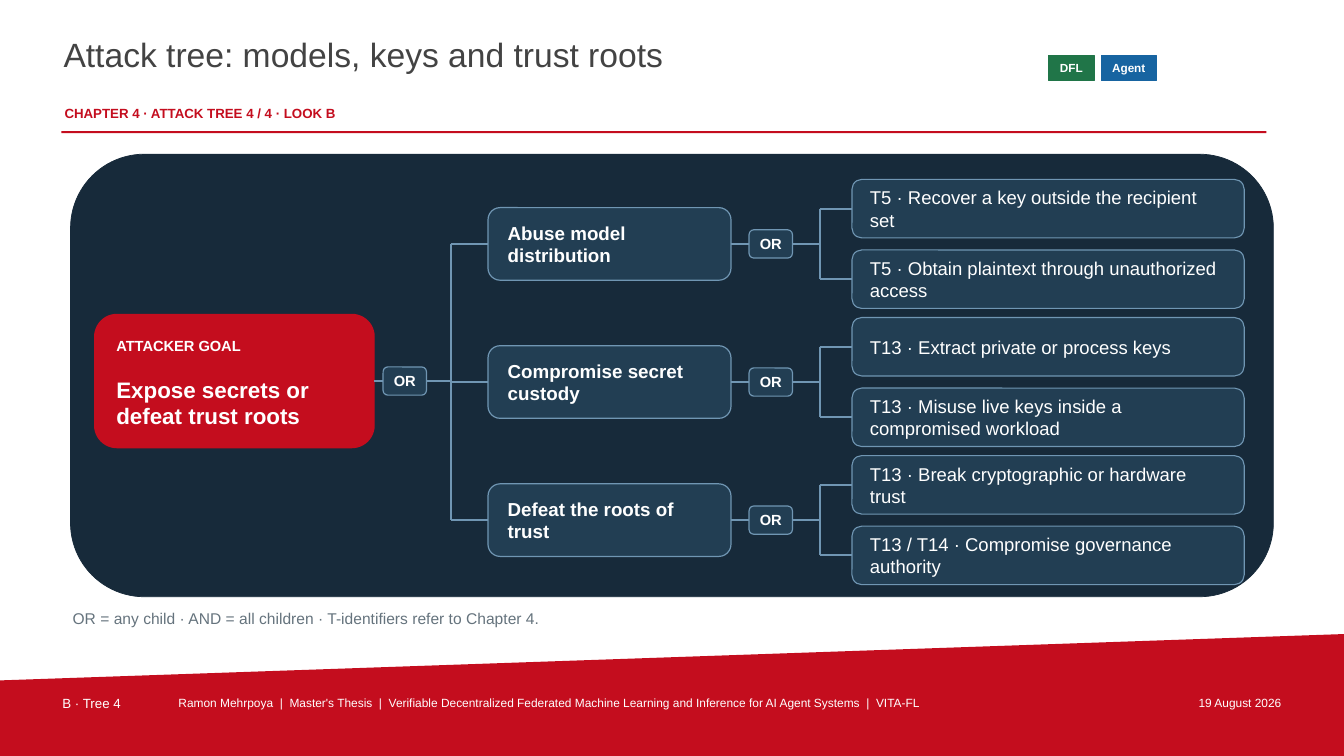
from pptx import Presentation
from pptx import util as u
from pptx.dml.color import RGBColor
from pptx.enum import shapes, text
from pptx.oxml.ns import qn
from lxml import etree

# The slide is a grid of 133.3 columns by 75 rows, each a tenth of an inch.
COLUMNS, ROWS = 133.3, 75
RED, NAVY, STEEL, SKY, WHITE = "C40D1E", "172A3A", "223E53", "7096B3", "FFFFFF"
RECT, ROUND = shapes.MSO_SHAPE.RECTANGLE, shapes.MSO_SHAPE.ROUNDED_RECTANGLE
MIDDLE, TOP = text.MSO_ANCHOR.MIDDLE, text.MSO_ANCHOR.TOP
LEFT, CENTER, RIGHT = text.PP_ALIGN.LEFT, text.PP_ALIGN.CENTER, text.PP_ALIGN.RIGHT
LEFT_SIDE, RIGHT_SIDE = 1, 3

GOAL_ROW, BRANCH_ROW, BRANCH_STEP = 37.8, 24.2, 13.7
LEAF_OFFSET = 3.5
GOAL_TRUNK, LEAF_TRUNK = 44.7, 81.3
TREE = [
    ("Abuse model distribution",
     ["T5 · Recover a key outside the recipient set",
      "T5 · Obtain plaintext through unauthorized access"]),
    ("Compromise secret custody",
     ["T13 · Extract private or process keys",
      "T13 · Misuse live keys inside a compromised workload"]),
    ("Defeat the roots of trust",
     ["T13 · Break cryptographic or hardware trust",
      "T13 / T14 · Compromise governance authority"]),
]
BADGES = [(104, 4.5, "DFL", "207548"), (109.2, 5.5, "Agent", "1764A1")]
THESIS = ("Ramon Mehrpoya  |  Master's Thesis  |  Verifiable Decentralized Federated "
          "Machine Learning and Inference for AI Agent Systems  |  VITA-FL")


def cells(count):
    return u.Inches(count / 10)


def color(hex_value):
    return RGBColor.from_string(hex_value)


def write(shape, words, size=13.2, ink=WHITE, bold=False, align=LEFT, anchor=MIDDLE,
          inset=(0, 0), before=None):
    """Write one paragraph; a paragraph with space before follows the earlier ones."""
    frame = shape.text_frame
    frame.word_wrap = True
    frame.vertical_anchor = anchor
    frame.margin_left = frame.margin_right = cells(inset[0])
    frame.margin_top = frame.margin_bottom = cells(inset[1])
    paragraph = frame.paragraphs[0] if before is None else frame.add_paragraph()
    if before is not None:
        paragraph.space_before = u.Pt(before)
    paragraph.alignment = align
    run = paragraph.add_run()
    run.text = words
    font = run.font
    font.name, font.size, font.bold = "Arial", u.Pt(size), bold
    font.color.rgb = color(ink)


def paint(shape, fill, line=None, weight=0.85):
    shape.shadow.inherit = False
    shape.fill.solid()
    shape.fill.fore_color.rgb = color(fill)
    if line is None:
        shape.line.fill.background()
    else:
        shape.line.color.rgb = color(line)
        shape.line.width = u.Pt(weight)


def add_box(slide, left, top, width, height, fill, kind=ROUND, **outline):
    box = slide.shapes.add_shape(kind, *map(cells, (left, top, width, height)))
    paint(box, fill, **outline)
    return box


def add_node(slide, left, middle, width, height, **outline):
    """Add an outlined box centred on a row."""
    return add_box(slide, left, middle - height / 2, width, height, STEEL, line=SKY, **outline)


def add_label(slide, left, top, width, height, words, **style):
    label = slide.shapes.add_textbox(*map(cells, (left, top, width, height)))
    write(label, words, **style)


def add_wire(slide, start, end, weight=1.3, source=None, target=None):
    """Draw a wire, from the right side of source or to the left side of target."""
    wire = slide.shapes.add_connector(shapes.MSO_CONNECTOR.STRAIGHT,
                                      *map(cells, (*start, *end)))
    wire.line.color.rgb = color(SKY)
    wire.line.width = u.Pt(weight)
    etree.SubElement(wire.element.spPr, qn("a:effectLst"))
    if source is not None:
        wire.begin_connect(source, RIGHT_SIDE)
    if target is not None:
        wire.end_connect(target, LEFT_SIDE)


def add_fork(slide, parent, parent_row, parent_end, trunk, children, child_start, gate,
             weight=1.3):
    """Join a parent to its (row, box) children through a trunk and an OR gate."""
    add_wire(slide, (parent_end, parent_row), (trunk, parent_row), weight, source=parent)
    add_wire(slide, (trunk, children[0][0]), (trunk, children[-1][0]))
    for child_row, child in children:
        add_wire(slide, (trunk, child_row), (child_start, child_row), target=child)
    write(add_node(slide, gate, parent_row, 4.3, 2.8), "OR",
          size=10.5, bold=True, align=CENTER)


def add_branch(slide, row, name, leaves):
    """Add a branch with its leaves and return its (row, box)."""
    branch = add_node(slide, 48.4, row, 24.1, 7.2)
    write(branch, name, size=13.4, bold=True, inset=(1.6, 0))
    children = []
    for index, words in enumerate(leaves):
        leaf_row = row + (2 * index - 1) * LEAF_OFFSET
        leaf = add_node(slide, 84.5, leaf_row, 38.9, 5.8, weight=0.8)
        write(leaf, words, inset=(1.5, 0))
        children.append((leaf_row, leaf))
    add_fork(slide, branch, row, 72.5, LEAF_TRUNK, children, 84.5, 74.3)
    return row, branch


def add_tree(slide):
    add_box(slide, 7, 15.3, 119.3, 43.9, NAVY, line=NAVY, weight=0.5)
    goal = add_box(slide, 9.4, GOAL_ROW - 6.6, 27.7, 13.2, RED, line=RED, weight=1)
    goal_style = dict(bold=True, anchor=TOP, inset=(1.5, 1.6))
    write(goal, "ATTACKER GOAL", size=10.5, **goal_style)
    write(goal, "Expose secrets or defeat trust roots", size=16, before=15, **goal_style)
    branches = [add_branch(slide, BRANCH_ROW + index * BRANCH_STEP, name, leaves)
                for index, (name, leaves) in enumerate(TREE)]
    add_fork(slide, goal, GOAL_ROW, 37.1, GOAL_TRUNK, branches, 48.4, 38, weight=1.5)
    add_label(slide, 7.2, 60, 119, 2.7, size=11.1, ink="65737D",
              words="OR = any child · AND = all children · T-identifiers refer to Chapter 4.")


def add_header(slide):
    title = slide.shapes.title
    title.left, title.top, title.width, title.height = map(cells, (6.1, 3.2, 96.5, 6.2))
    write(title, "Attack tree: models, keys and trust roots", size=24, ink="434343",
          anchor=TOP, inset=(0.2, 0.2))
    add_label(slide, 6.2, 10.2, 97, 2.2, "CHAPTER 4 · ATTACK TREE 4 / 4 · LOOK B",
              size=9.5, ink=RED, bold=True, anchor=TOP, inset=(0.2, 0.2))
    add_box(slide, 6.1, 13, 119.5, 0.2, RED, kind=RECT)
    for left, width, name, fill in BADGES:
        badge = add_box(slide, left, 5.5, width, 2.5, fill, kind=RECT, line=fill, weight=0.55)
        write(badge, name, size=8.4, bold=True, align=CENTER)


def add_footer(slide):
    outline = slide.shapes.build_freeform(0, cells(67.5))
    outline.add_line_segments([(cells(column), cells(row)) for column, row in
                               ((COLUMNS, 62.9), (COLUMNS, ROWS), (0, ROWS))])
    paint(outline.convert_to_shape(), RED)
    for left, width, words, size, align in (
            (6, 11, "B · Tree 4", 9.5, LEFT),
            (17.5, 93.5, THESIS, 8.5, LEFT),
            (112, 15.3, "19 August 2026", 8.5, RIGHT)):
        add_label(slide, left, 68.8, width, 2.2, words, size=size, align=align,
                  anchor=TOP, inset=(0.2, 0.2))


def main():
    presentation = Presentation()
    presentation.slide_width, presentation.slide_height = cells(COLUMNS), cells(ROWS)
    slide = presentation.slides.add_slide(presentation.slide_layouts[5])
    add_footer(slide)
    add_header(slide)
    add_tree(slide)
    presentation.save("out.pptx")


if __name__ == "__main__":
    main()
